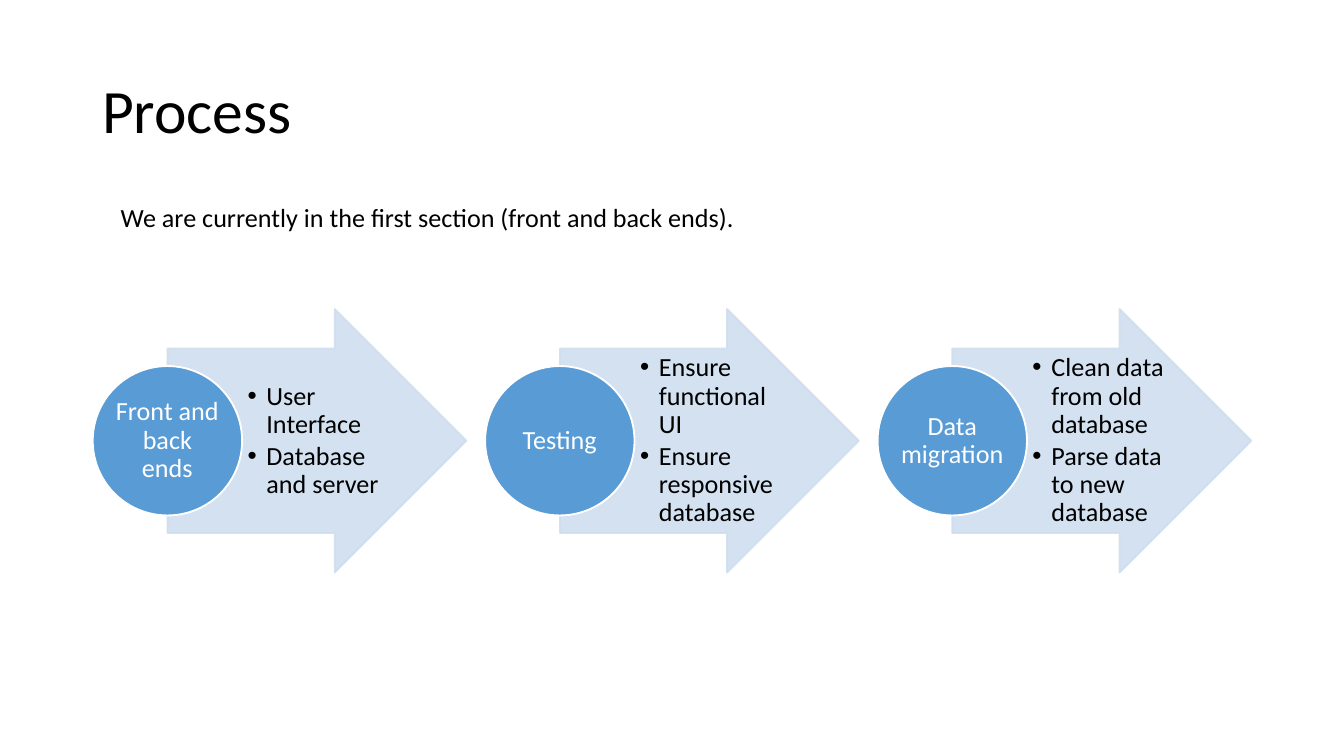
from dataclasses import dataclass

import pptx
import pptx.dml.color
import pptx.enum.shapes
import pptx.enum.text
import pptx.oxml.ns
import pptx.util
from lxml import etree

Inches = pptx.util.Inches
Pt = pptx.util.Pt
RGB = pptx.dml.color.RGBColor.from_string
MSO_SHAPE = pptx.enum.shapes.MSO_SHAPE
PP_ALIGN = pptx.enum.text.PP_ALIGN
MSO_ANCHOR = pptx.enum.text.MSO_ANCHOR
qn = pptx.oxml.ns.qn


@dataclass(frozen=True)
class Theme:
    font: str = "Calibri"
    text: str = "000000"
    light: str = "FFFFFF"
    arrow: str = "CFDEEF"
    circle: str = "599BD5"
    arrow_opacity: int = 90
    title_size: int = 33
    body_size: int = 14
    tight: float = 0.9


THEME = Theme()

STEPS = [
    ("Front and back ends", ["User Interface", "Database and server"]),
    ("Testing", ["Ensure functional UI", "Ensure responsive database"]),
    ("Data migration", ["Clean data from old database", "Parse data to new database"]),
]


def set_frame(tf, insets, anchor):
    """Insets are left, top, right, bottom in inches."""
    tf.word_wrap = True
    tf.auto_size = pptx.enum.text.MSO_AUTO_SIZE.NONE
    tf.vertical_anchor = anchor
    tf.margin_left, tf.margin_top, tf.margin_right, tf.margin_bottom = map(Inches, insets)


def write(tf, lines, size, color, align=PP_ALIGN.LEFT, spacing=None):
    tf.text = "\n".join(lines)
    for p in tf.paragraphs:
        p.alignment = align
        p.line_spacing = spacing
        for r in p.runs:
            r.font.name = THEME.font
            r.font.size = Pt(size)
            r.font.color.rgb = RGB(color)


def add_bullet(p, indent):
    pPr = p._p.get_or_add_pPr()
    pPr.set("marL", str(Inches(indent)))
    pPr.set("indent", str(-Inches(indent)))
    etree.SubElement(pPr, qn("a:buFont")).set("typeface", "Arial")
    etree.SubElement(pPr, qn("a:buChar")).set("char", "•")


def add_filled(shapes, kind, box, fill, line):
    sp = shapes.add_shape(kind, *map(Inches, box))
    sp.shadow.inherit = False
    sp.fill.solid()
    sp.fill.fore_color.rgb = RGB(fill)
    sp.line.color.rgb = RGB(line)
    sp.line.width = Pt(1)
    return sp


def set_opacity(sp, percent):
    """Apply to both fill and line."""
    for color in sp._element.spPr.iter(qn("a:srgbClr")):
        etree.SubElement(color, qn("a:alpha")).set("val", str(percent * 1000))


def add_title(slide, box, text):
    sp = slide.shapes.title
    sp.left, sp.top, sp.width, sp.height = map(Inches, box)
    set_frame(sp.text_frame, (0.07, 0.04, 0.07, 0.04), MSO_ANCHOR.MIDDLE)
    write(sp.text_frame, [text], THEME.title_size, THEME.text, spacing=THEME.tight)


def add_status(slide, box, text):
    tf = slide.shapes.add_textbox(*map(Inches, box)).text_frame
    set_frame(tf, (0.1,) * 4, MSO_ANCHOR.TOP)
    write(tf, [text], THEME.body_size, THEME.text)


def add_step(shapes, box, name, tasks):
    """Arrow with a task list, and a named circle centred on its tail."""
    left, top, width, height = box
    diameter = width * 0.4
    tail = left + diameter / 2

    arrow = add_filled(shapes, MSO_SHAPE.RIGHT_ARROW,
                       (tail, top, width - diameter / 2, height), THEME.arrow, THEME.arrow)
    arrow.adjustments[0], arrow.adjustments[1] = 0.7, 0.5
    set_opacity(arrow, THEME.arrow_opacity)

    shaft = height * 0.7
    tf = shapes.add_textbox(*map(Inches, (left + diameter, top + (height - shaft) / 2,
                                          1.08, shaft))).text_frame
    set_frame(tf, (0.04, 0.01, 0.02, 0.01), MSO_ANCHOR.MIDDLE)
    write(tf, tasks, THEME.body_size, THEME.text, spacing=THEME.tight)
    for i, p in enumerate(tf.paragraphs):
        p.space_before = Pt(2 if i else 0)
        add_bullet(p, 0.14)

    circle = add_filled(shapes, MSO_SHAPE.OVAL,
                        (left, top + (height - diameter) / 2, diameter, diameter),
                        THEME.circle, THEME.light)
    set_frame(circle.text_frame, (0.01,) * 4, MSO_ANCHOR.MIDDLE)
    write(circle.text_frame, [name], THEME.body_size, THEME.light,
          PP_ALIGN.CENTER, THEME.tight)


def add_process(slide, box, steps, gap):
    left, top, width, height = box
    step_width = (width - gap * (len(steps) - 1)) / len(steps)
    group = slide.shapes.add_group_shape()
    for i, (name, tasks) in enumerate(steps):
        step_box = (left + i * (step_width + gap), top, step_width, height)
        add_step(group.shapes, step_box, name, tasks)


def main():
    prs = pptx.Presentation()
    prs.slide_width, prs.slide_height = Inches(10), Inches(10 * 9 / 16)
    slide = prs.slides.add_slide(prs.slide_layouts.get_by_name("Title Only"))
    add_title(slide, (0.69, 0.3, 8.62, 1.09), "Process")
    add_process(slide, (0.69, 2.3, 8.62, 1.96), STEPS, gap=0.14)
    add_status(slide, (0.8, 1.4, 5.24, 0.44),
               "We are currently in the first section (front and back ends).")
    prs.save("out.pptx")


if __name__ == "__main__":
    main()
